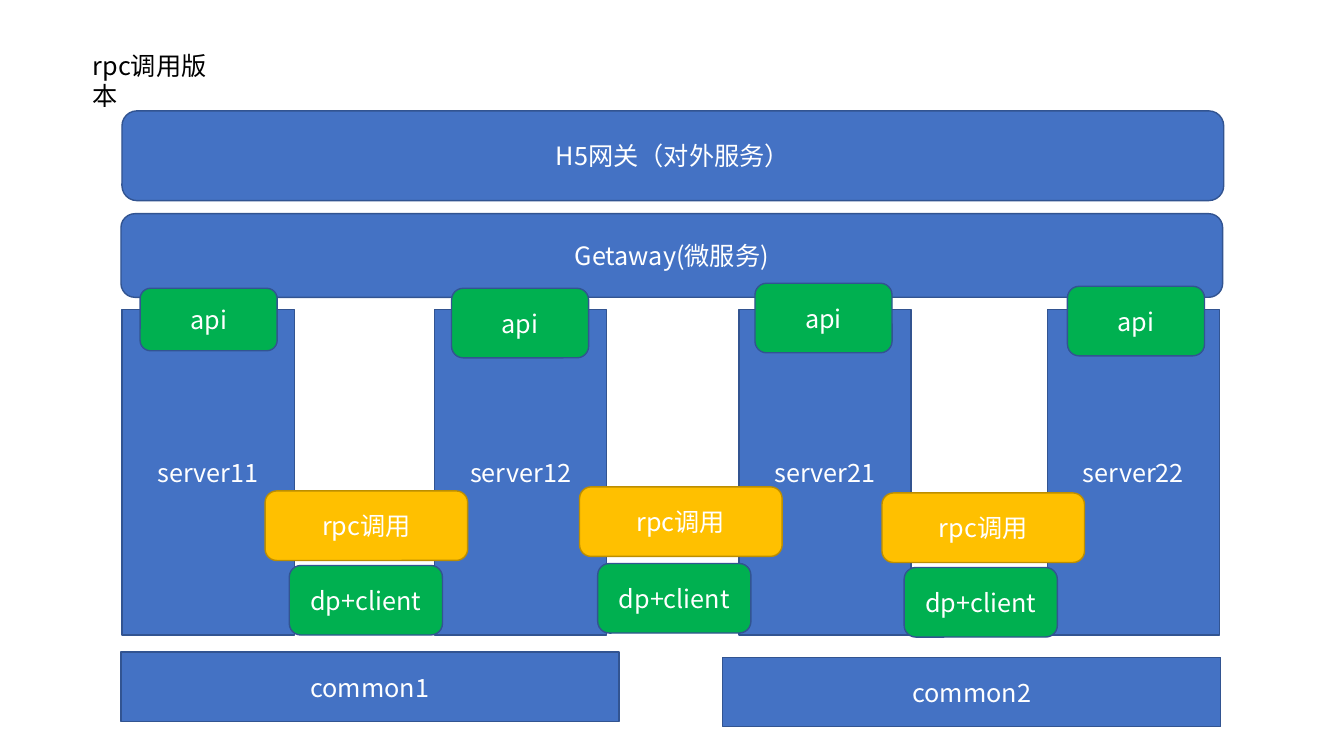
import pptx
import pptx.util
import pptx.dml.color
import pptx.enum.shapes
import pptx.enum.text
import pptx.oxml.ns
import lxml.etree

RGBColor = pptx.dml.color.RGBColor
SHAPE = pptx.enum.shapes.MSO_SHAPE
ALIGN = pptx.enum.text.PP_ALIGN
ANCHOR = pptx.enum.text.MSO_ANCHOR

BLUE = RGBColor(0x44, 0x72, 0xC4)
NAVY = RGBColor(0x32, 0x54, 0x91)
GREEN = RGBColor(0x00, 0xB0, 0x50)
AMBER = RGBColor(0xFF, 0xC0, 0x00)
BROWN = RGBColor(0xBD, 0x8E, 0x00)
WHITE = RGBColor(0xFF, 0xFF, 0xFF)
BLACK = RGBColor(0x00, 0x00, 0x00)

TITLE_ONLY = 5
COLUMNS, ROWS = 40, 30


class Diagram:
    font = "Noto Sans CJK SC"
    size = pptx.util.Pt(18)

    def __init__(self, deck):
        self.page = deck.slides.add_slide(deck.slide_layouts[TITLE_ONLY])
        self.column = deck.slide_width / COLUMNS
        self.row = deck.slide_height / ROWS

    def place(self, left, top, width, height):
        return (round(left * self.column), round(top * self.row),
                round(width * self.column), round(height * self.row))

    def apply(self, target, formats):
        for name, value in formats.items():
            setattr(target, name, value)

    def label(self, box, text, color, align, anchor):
        frame = box.text_frame
        self.apply(frame, {"word_wrap": True, "vertical_anchor": anchor,
                           "auto_size": pptx.enum.text.MSO_AUTO_SIZE.NONE})
        para = frame.paragraphs[0]
        para.alignment = align
        span = para.add_run()
        span.text = text
        self.apply(span.font, {"name": self.font, "size": self.size})
        span.font.color.rgb = color
        properties = span._r.get_or_add_rPr()
        east_asian = lxml.etree.SubElement(properties, pptx.oxml.ns.qn("a:ea"))
        east_asian.set("typeface", self.font)

    def title(self, text, *cells):
        box = self.page.shapes.title
        names = ("left", "top", "width", "height")
        self.apply(box, dict(zip(names, self.place(*cells))))
        self.label(box, text, BLACK, ALIGN.LEFT, ANCHOR.TOP)

    def block(self, text, *cells, kind=SHAPE.ROUNDED_RECTANGLE, fill=BLUE, line=NAVY):
        box = self.page.shapes.add_shape(kind, *self.place(*cells))
        box.shadow.inherit = False
        box.fill.solid()
        box.fill.fore_color.rgb = fill
        box.line.color.rgb = line
        box.line.width = pptx.util.Pt(1)
        self.label(box, text, WHITE, ALIGN.CENTER, ANCHOR.MIDDLE)


deck = pptx.Presentation()
deck.slide_width = pptx.util.Inches(13.33)
deck.slide_height = pptx.util.Inches(7.5)
diagram = Diagram(deck)

diagram.title("rpc调用版本", 2.46, 1.8, 4.68, 1.6)
diagram.block("Getaway(微服务)", 3.6, 8.48, 32.79, 3.32)
diagram.block("H5网关（对外服务）", 3.63, 4.4, 32.79, 3.56)

for name, left, top in (("common1", 3.6, 25.88), ("common2", 21.51, 26.08)):
    diagram.block(name, left, top, 14.82, 2.76, kind=SHAPE.RECTANGLE)

SERVERS = (("server11", 3.63), ("server12", 12.93), ("server21", 21.99), ("server22", 31.17))
for name, left in SERVERS:
    diagram.block(name, left, 12.28, 5.13, 12.92, kind=SHAPE.RECTANGLE)

APIS = ((4.17, 11.44, 2.48), (13.44, 11.44, 2.76), (22.47, 11.24, 2.76), (31.77, 11.36, 2.76))
for left, top, height in APIS:
    diagram.block("api", left, top, 4.08, height, fill=GREEN)

LINKS = (((7.89, 19.48), (8.61, 22.44)),
         ((17.25, 19.32), (17.79, 22.36)),
         ((26.25, 19.56), (26.91, 22.52)))
for call, client in LINKS:
    diagram.block("rpc调用", *call, 6.03, 2.76, fill=AMBER, line=BROWN)
    diagram.block("dp+client", *client, 4.56, 2.76, fill=GREEN)

deck.save("out.pptx")
